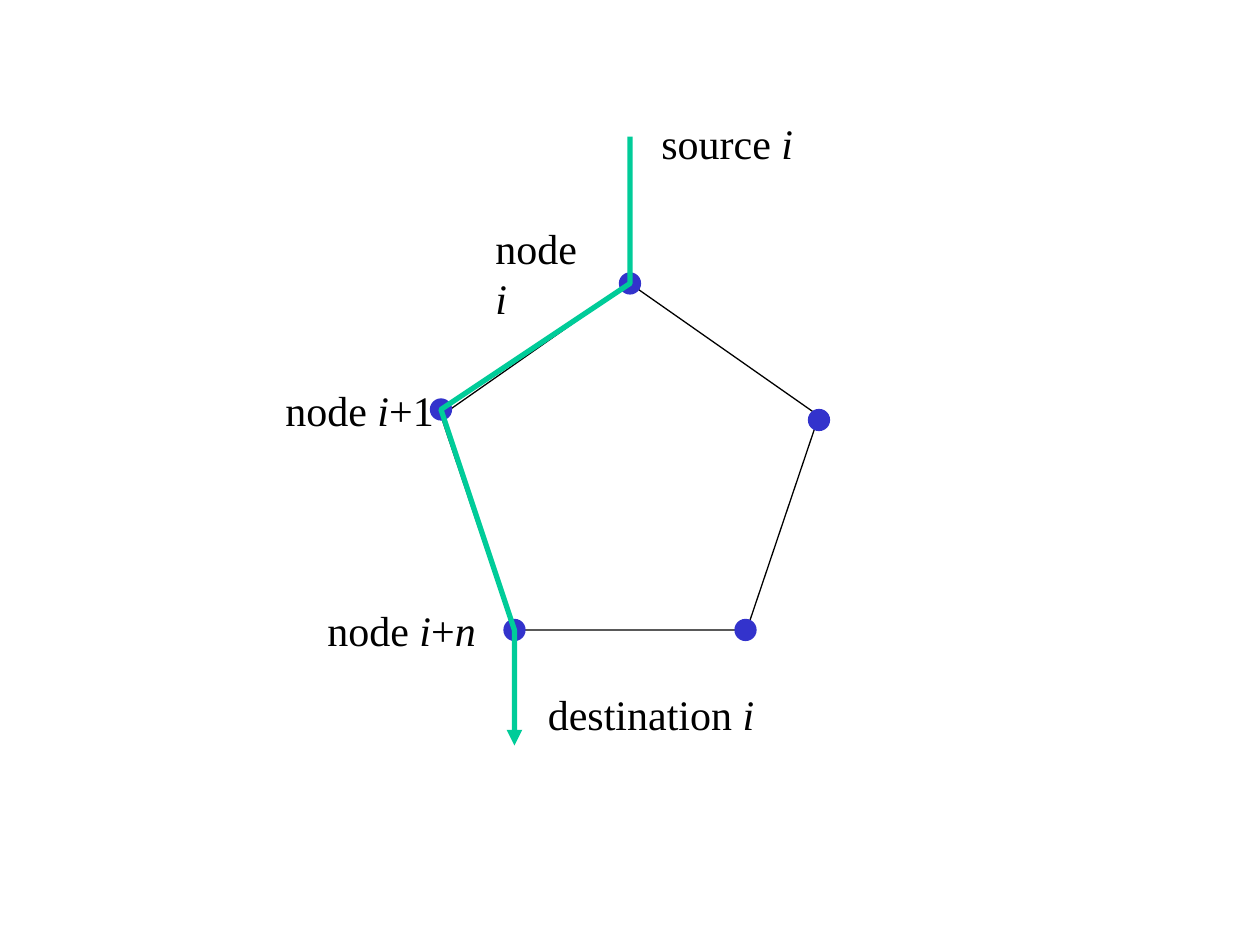
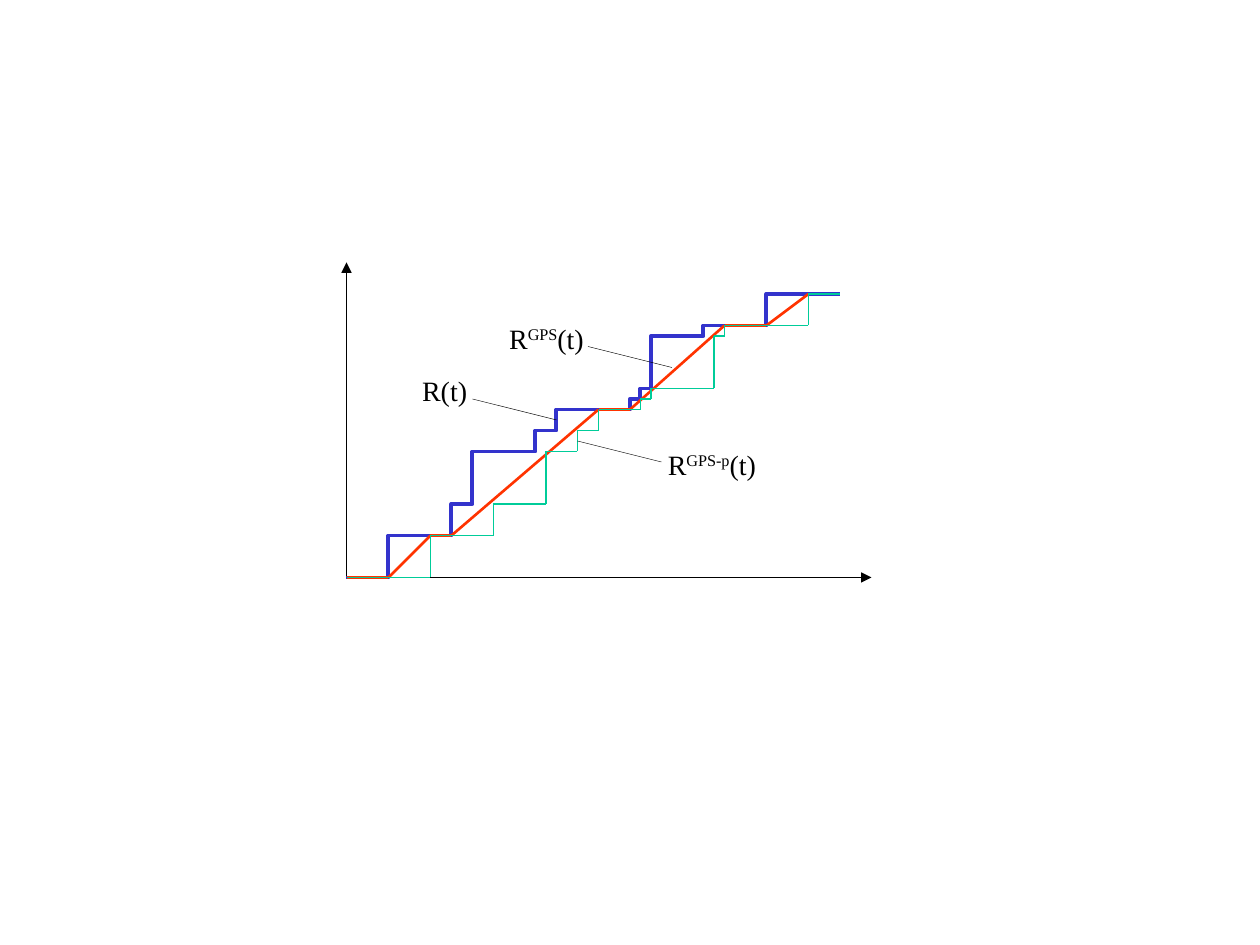
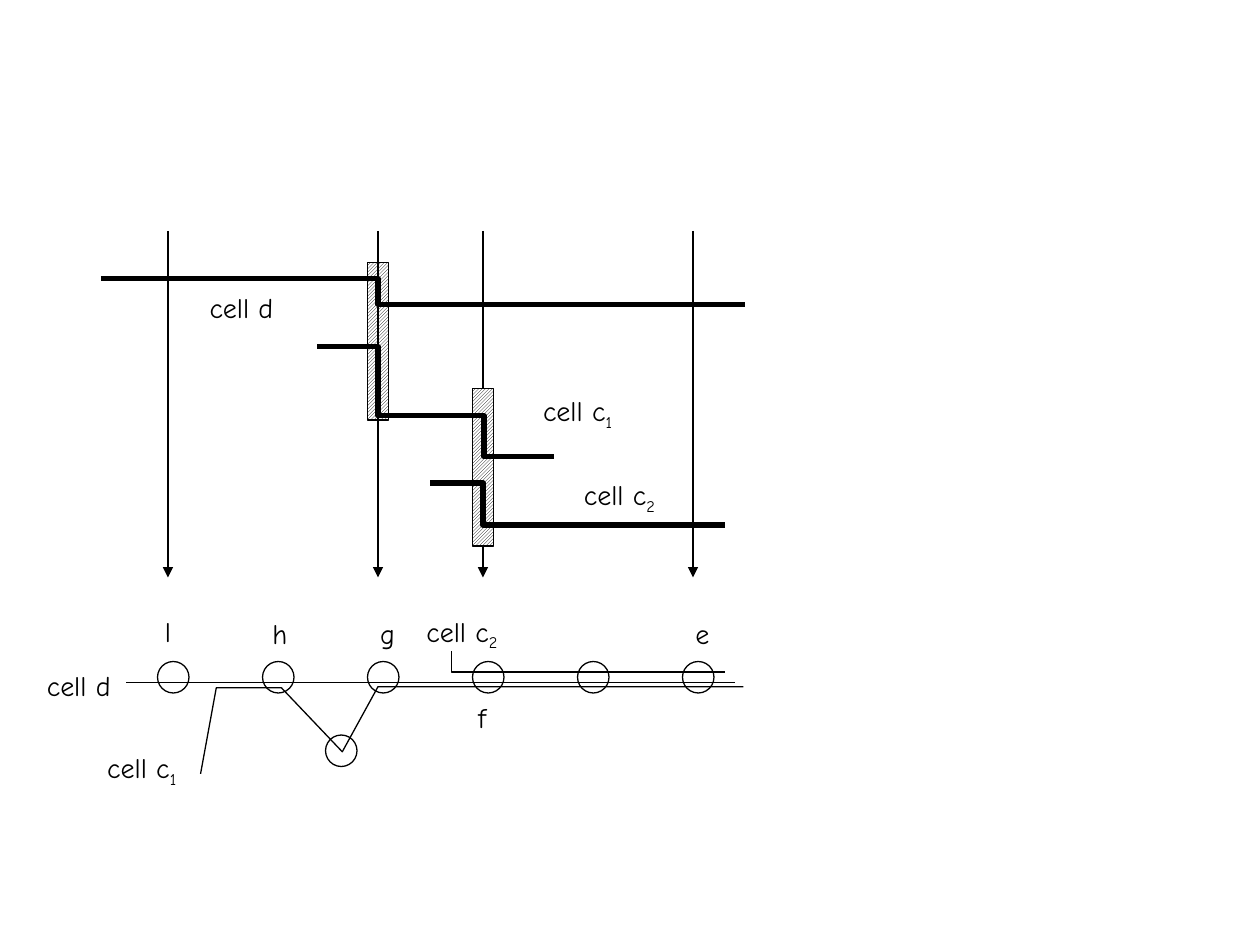
from itertools import pairwise

from lxml.etree import SubElement
from pptx import Presentation
from pptx.dml.color import RGBColor
from pptx.enum.dml import MSO_PATTERN_TYPE as PATTERN
from pptx.enum.shapes import MSO_CONNECTOR as CONNECTOR, MSO_SHAPE as SHAPE
from pptx.enum.text import MSO_ANCHOR as ANCHOR, PP_ALIGN as ALIGN
from pptx.oxml.ns import qn
from pptx.util import Pt

PX = 7620  # EMU per px, 120 px to the inch
COLORS = {name: RGBColor.from_string(value) for name, value in {
    "black": "000000", "white": "FFFFFF", "blue": "3333CC",
    "green": "00CC99", "red": "FF3300"}.items()}
BASELINES = {"sup": "30000", "sub": "-25000"}
SERIF, COMIC = "Times New Roman", "Comic Neue"


def draw_path(slide, points, color="black", width=0.75, arrow=False):
    """Draw a connector through two points, or an open outline through more."""
    if len(points) == 2:
        ends = [v * PX for point in points for v in point]
        sp = slide.shapes.add_connector(CONNECTOR.STRAIGHT, *ends)
    else:
        builder = slide.shapes.build_freeform(*points[0], scale=PX)
        builder.add_line_segments(points[1:], close=False)
        sp = builder.convert_to_shape()
        sp.fill.background()
    sp.line.color.rgb = COLORS[color]
    sp.line.width = Pt(width)
    if arrow:
        SubElement(sp.line._get_or_add_ln(), qn("a:tailEnd"), type="triangle")
    SubElement(sp._element.spPr, qn("a:effectLst"))


def add_box(slide, kind, box, line=None, runs=(), size=16, font=SERIF,
            align=ALIGN.CENTER):
    """Add a preset shape (a text box if kind is None) with (text, style) runs."""
    box = [v * PX for v in box]
    if kind is None:
        sp = slide.shapes.add_textbox(*box)
    else:
        sp = slide.shapes.add_shape(kind, *box)
        sp.shadow.inherit = False
        sp.fill.background()
    if line:
        sp.line.color.rgb = COLORS[line]
        sp.line.width = Pt(0.75)
    if runs:
        tf = sp.text_frame
        tf.word_wrap = False
        tf.vertical_anchor = ANCHOR.MIDDLE
        p = tf.paragraphs[0]
        p.alignment = align
        p.font.size, p.font.name = Pt(size), font
        p.font.color.rgb = COLORS["black"]
        for text, style in runs:
            r = p.add_run()
            r.text = text
            if style == "italic":
                r.font.italic = True
            elif style:
                r._r.get_or_add_rPr().set("baseline", BASELINES[style])
    return sp


prs = Presentation()
prs.slide_width, prs.slide_height = 1200 * PX, 900 * PX
ring, curves, cells = [prs.slides.add_slide(prs.slide_layouts[6]) for _ in range(3)]

# Slide 1: route of flow i around a ring of nodes
add_box(ring, SHAPE.REGULAR_PENTAGON, (420, 270, 360, 330), "black")
for x, y in [(490, 600), (710, 600), (780, 400), (600, 270), (420, 390)]:
    node = add_box(ring, SHAPE.OVAL, (x - 10, y - 10, 20, 20), "blue")
    node.fill.solid()
    node.fill.fore_color.rgb = COLORS["blue"]
draw_path(ring, [(600, 130), (600, 270), (420, 390), (490, 600), (490, 710)],
          "green", 3, arrow=True)
index = ("i", "italic")
for x, y, w, runs in [
        (460, 230, 122, [("node ", ""), index]),
        (300, 570, 166, [("node ", ""), index, ("+", ""), ("n", "italic")]),
        (618, 106, 150, [("source ", ""), index]),
        (510, 650, 221, [("destination ", ""), index]),
        (260, 360, 166, [("node ", ""), index, ("+1", "")])]:
    add_box(ring, None, (x, y, w, 60), runs=runs, size=24, align=ALIGN.LEFT)

# Slide 2: arrivals, fluid GPS service and packet departures
for tip in [(830, 550), (330, 250)]:
    draw_path(curves, [(330, 550), tip], width=0.25, arrow=True)

levels = [510, 480, 430, 410, 390, 380, 370, 320, 310, 280]
arrival_times = [370, 430, 450, 510, 530, 600, 610, 620, 670, 730]
departure_times = [410, 470, 520, 550, 570, 610, 620, 680, 690, 770]
arrivals, departures = [], []
for stairs, times in [(arrivals, arrival_times), (departures, departure_times)]:
    stairs.append((330, 550))
    for x, y in zip(times, levels):
        stairs += [(x, stairs[-1][1]), (x, y)]
    stairs.append((800, 280))
fluid = [(330, 550), (370, 550), (410, 510), (430, 510), (570, 390),
         (600, 390), (690, 310), (730, 310), (770, 280), (800, 280)]
draw_path(curves, arrivals, "blue", 2.25)
for points, color, width in [(fluid, "red", 1.5), (departures, "green", 0.75)]:
    for segment in pairwise(points):
        draw_path(curves, segment, color, width)

for x, y, w, runs, leader in [
        (390, 350, 67, [("R(t)", "")], (450, 380)),
        (620, 420, 116, [("R", ""), ("GPS-p", "sup"), ("(t)", "")], (550, 420)),
        (470, 300, 101, [("R", ""), ("GPS", "sup"), ("(t)", "")], (560, 330))]:
    add_box(curves, None, (x, y, w, 44), runs=runs)
    draw_path(curves, [leader, (leader[0] + 80, leader[1] + 20)], width=0.25)

# Slide 3: cells passing the nodes, over time and along the path
cell_d = [("cell d", "")]
cell_c1 = [("cell c", ""), ("1", "sub")]
cell_c2 = [("cell c", ""), ("2", "sub")]
for x, y, w, runs in [
        (29, 630, 92, cell_d), (86, 710, 98, cell_c1), (380, 580, 120, cell_c2),
        (144, 578, 32, [("l", "")]), (246, 580, 41, [("h", "")]),
        (349, 580, 40, [("g", "")]), (440, 660, 38, [("f", "")]),
        (649, 580, 40, [("e", "")]), (530, 450, 120, cell_c2),
        (490, 370, 120, cell_c1), (170, 270, 120, cell_d)]:
    add_box(cells, SHAPE.RECTANGLE, (x, y, w, 46), "white", runs, font=COMIC)

# The first conflict lies behind the time arrows, the second in front.
for conflict, arrows in [((350, 250), (160, 360, 460, 660)), ((450, 370), ())]:
    hatch = add_box(cells, SHAPE.RECTANGLE, (*conflict, 20, 150), "black")
    hatch.fill.patterned()
    hatch.fill.pattern = PATTERN.LIGHT_UPWARD_DIAGONAL
    hatch.fill.fore_color.rgb = COLORS["black"]
    hatch.fill.back_color.rgb = COLORS["white"]
    for x in arrows:
        draw_path(cells, [(x, 220), (x, 550)], arrow=True)

for x, y in [(150 + 100 * i, 630) for i in range(6)] + [(310, 700)]:
    add_box(cells, SHAPE.OVAL, (x, y, 30, 30), "black")

routes = [
    [(120, 650), (700, 650)],
    [(191, 737), (206, 655), (268, 655), (326, 716), (360, 654), (708, 654)],
    [(430, 620), (430, 640), (690, 640)]]
timelines = [
    [(96, 265), (360, 265), (360, 290), (710, 290)],
    [(302, 330), (360, 330), (360, 396), (461, 396), (461, 435), (528, 435)],
    [(410, 460), (460, 460), (460, 500), (690, 500)]]
for paths, width in [(routes, 0.75), (timelines, 3)]:
    for points in paths:
        draw_path(cells, points, width=width)

prs.save("out.pptx")
